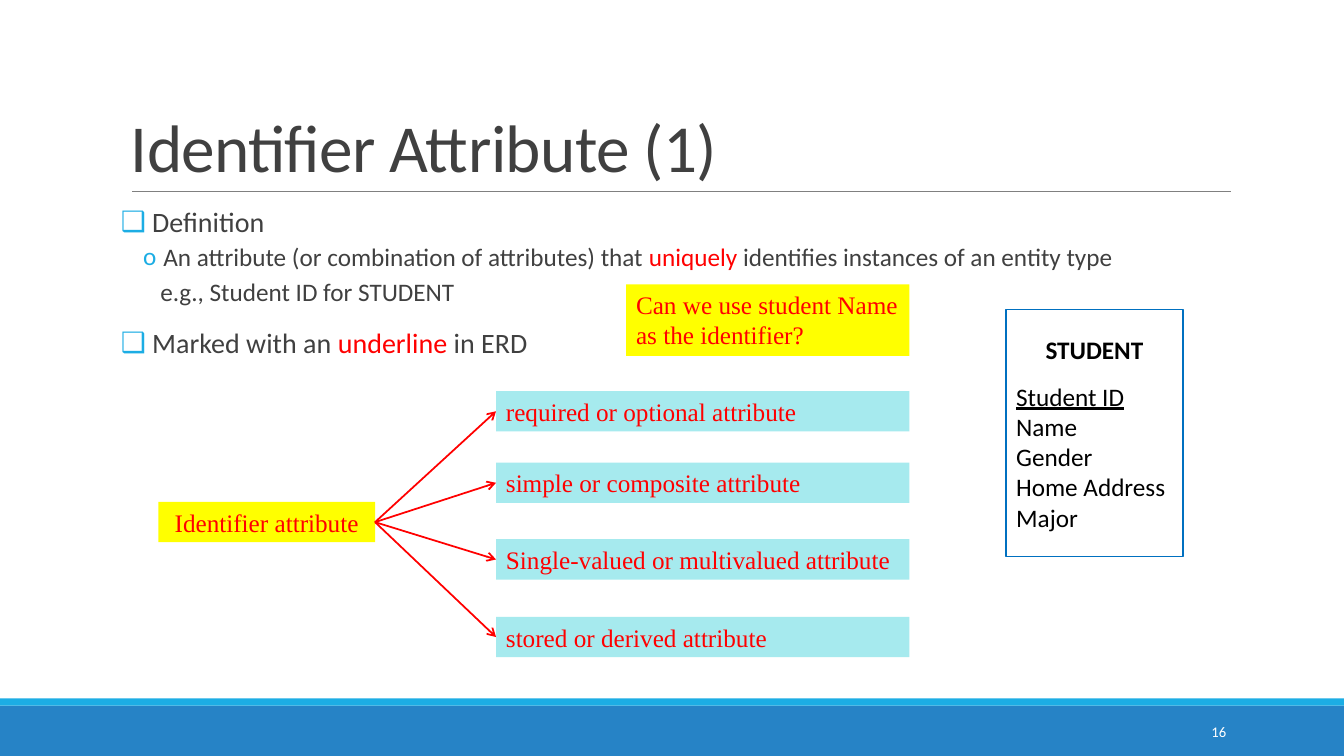
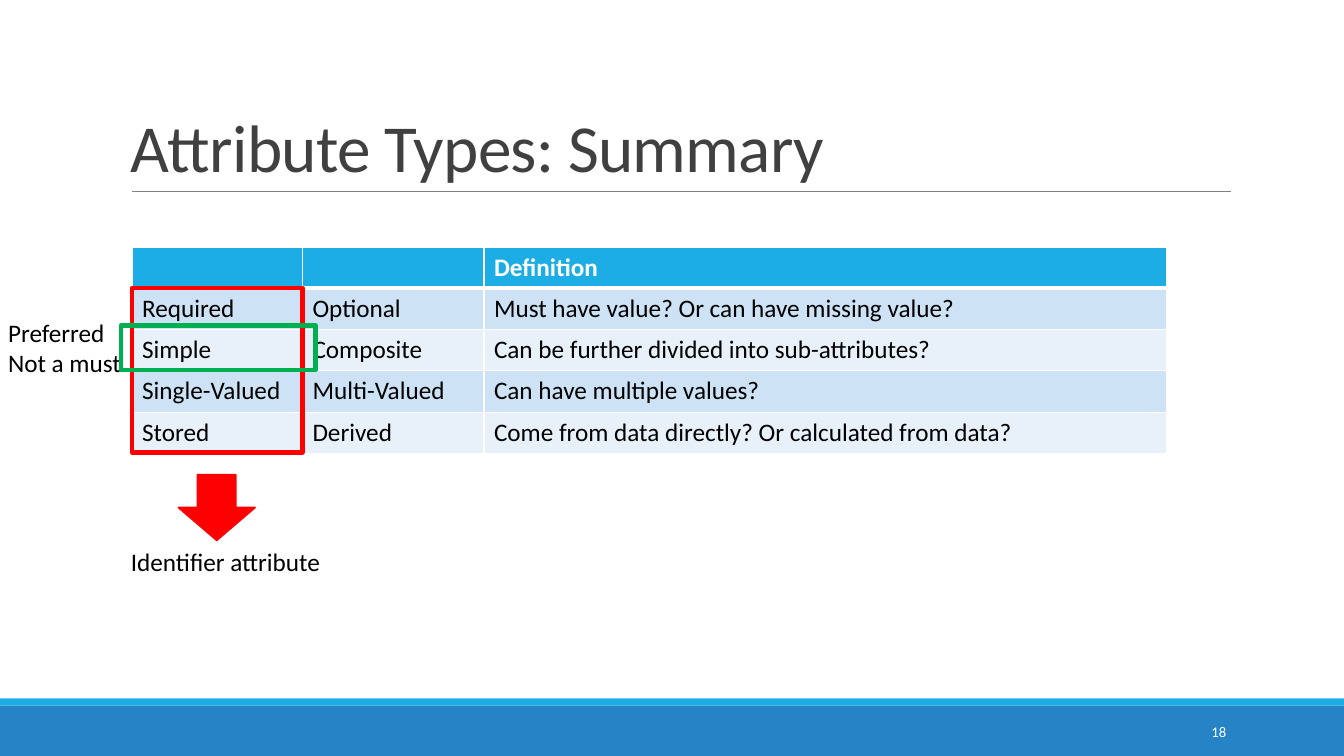
import pptx
import pptx.dml.color
import pptx.enum.shapes
import pptx.enum.text
import pptx.oxml.ns
import pptx.util
from lxml import etree

Inches = pptx.util.Inches
Pt = pptx.util.Pt
Align = pptx.enum.text.PP_ALIGN
Anchor = pptx.enum.text.MSO_ANCHOR
Shape = pptx.enum.shapes.MSO_SHAPE
Straight = pptx.enum.shapes.MSO_CONNECTOR.STRAIGHT

WHITE, BLACK, RED, GREEN = "FFFFFF", "000000", "FF0000", "00B050"
BLUE, CYAN, INK, GREY = "2683C6", "1CADE4", "404040", "808080"
YELLOW, AQUA, OUTLINE = "FFFF00", "A6EAEE", "0070C0"
BAND_FILLS = ["CDE3F5", "E8F1FA"]
SANS, SERIF = "Calibri", "Times New Roman"


def rgb(value):
    return pptx.dml.color.RGBColor.from_string(value)


def add_xml(parent, tag, **attributes):
    return etree.SubElement(parent, pptx.oxml.ns.qn(tag), attributes)


class Slides:
    """Hold the deck style and draw each kind of element on the current page."""

    def __init__(self):
        self.deck = pptx.Presentation()
        self.deck.slide_width = Inches(13.33)
        self.deck.slide_height = Inches(7.5)

    def start(self, title, number):
        self.page = self.deck.slides.add_slide(self.deck.slide_layouts[6])
        self.shape(0, 7, 13.33, 0.5, fill=BLUE)
        self.shape(0, 6.93, 13.33, 0.07, fill=CYAN)
        self.line(1.31, 1.9, 12.21, 1.9, GREY, 0.5)
        box = self.text(1.2, 0.31, 11, 1.59, title, 48, INK, anchor=Anchor.BOTTOM)
        para = box.text_frame.paragraphs[0]
        para.line_spacing = 0.85
        para.runs[0]._r.get_or_add_rPr().set("spc", "-50")
        self.text(10.83, 7.06, 1.43, 0.4, number, 10.5, WHITE,
                  align=Align.RIGHT, anchor=Anchor.MIDDLE)

    def style(self, span, size, color, font=SANS):
        span.font.size = Pt(size)
        span.font.name = font
        span.font.color.rgb = rgb(color)

    def set_text(self, frame, text, size=18, color=BLACK, font=SANS,
                 align=Align.LEFT, anchor=Anchor.TOP, wrap=True):
        frame.text = text
        frame.word_wrap = wrap
        frame.vertical_anchor = anchor
        for para in frame.paragraphs:
            para.alignment = align
            for span in para.runs:
                self.style(span, size, color, font)

    def text(self, left, top, width, height, text, *style, **layout):
        box = self.page.shapes.add_textbox(
            Inches(left), Inches(top), Inches(width), Inches(height))
        self.set_text(box.text_frame, text, *style, **layout)
        return box

    def shape(self, left, top, width, height, kind=Shape.RECTANGLE,
              fill=None, line=None, weight=1.25):
        shape = self.page.shapes.add_shape(
            kind, Inches(left), Inches(top), Inches(width), Inches(height))
        shape.shadow.inherit = False
        if fill:
            shape.fill.solid()
            shape.fill.fore_color.rgb = rgb(fill)
        else:
            shape.fill.background()
        if line:
            shape.line.color.rgb = rgb(line)
            shape.line.width = Pt(weight)
        else:
            shape.line.fill.background()
        return shape

    def note(self, left, top, width, height, text, fill, align=Align.LEFT):
        note = self.shape(left, top, width, height, fill=fill)
        self.set_text(note.text_frame, text, color=RED, font=SERIF, align=align)
        return note

    def line(self, x1, y1, x2, y2, color, weight):
        line = self.page.shapes.add_connector(
            Straight, Inches(x1), Inches(y1), Inches(x2), Inches(y2))
        line.line.color.rgb = rgb(color)
        line.line.width = Pt(weight)
        add_xml(line._element.spPr, "a:effectLst")
        return line

    def arrow(self, source, target):
        arrow = self.line(0, 0, 1, 1, RED, 1.25)
        arrow.begin_connect(source, 3)
        arrow.end_connect(target, 1)
        add_xml(arrow.line._get_or_add_ln(), "a:tailEnd", type="arrow")

    def bullets(self, left, top, width, height, items):
        frame = self.text(left, top, width, height, "").text_frame
        frame.margin_left = frame.margin_right = 0
        for index, (level, bullet, margin, hang, spans) in enumerate(items):
            para = frame.add_paragraph() if index else frame.paragraphs[0]
            para.level = level
            para.line_spacing = 0.9
            if index:
                para.space_before = Pt(2 if level else 12)
            para.space_after = Pt(4 if level else 2)
            properties = para._p.get_or_add_pPr()
            properties.set("marL", str(Inches(margin)))
            properties.set("indent", str(-Inches(hang)))
            if bullet:
                add_xml(add_xml(properties, "a:buClr"), "a:srgbClr", val=CYAN)
                add_xml(properties, "a:buFont", typeface=SANS)
                add_xml(properties, "a:buChar", char=bullet)
            else:
                add_xml(properties, "a:buNone")
            for words, color in spans:
                span = para.add_run()
                span.text = words
                self.style(span, 18 if level else 20, color)

    def cell_borders(self, cell, top, bottom):
        properties = cell._tc.get_or_add_tcPr()
        for side, weight in zip("LRTB", (1, 1, top, bottom)):
            border = add_xml(properties, "a:ln" + side, w=str(Pt(weight)))
            add_xml(add_xml(border, "a:solidFill"), "a:srgbClr", val=WHITE)

    def table(self, left, top, widths, row_height, rows):
        table = self.page.shapes.add_table(
            len(rows), len(widths), Inches(left), Inches(top),
            Inches(sum(widths)), Inches(row_height * len(rows))).table
        for column, width in zip(table.columns, widths):
            column.width = Inches(width)
        for i, row in enumerate(rows):
            header = i == 0
            table.rows[i].height = Inches(row_height)
            for j, words in enumerate(row):
                cell = table.cell(i, j)
                self.cell_borders(cell, 3 if i == 1 else 1, 3 if header else 1)
                cell.fill.solid()
                cell.fill.fore_color.rgb = rgb(CYAN if header else BAND_FILLS[(i - 1) % 2])
                self.set_text(cell.text_frame, words, color=WHITE if header else BLACK)
                for span in cell.text_frame.paragraphs[0].runs:
                    span.font.bold = header


def identifier_page(slides):
    slides.start("Identifier Attribute (1)", "16")
    slides.bullets(1.2, 2.02, 11, 4.85, [
        (0, "❑", 0.31, 0.31, [("Definition", INK)]),
        (1, "o", 0.42, 0.2, [
            ("An attribute (or combination of attributes) that ", INK),
            ("uniquely", RED),
            (" identifies instances of an entity type", INK)]),
        (1, None, 0.39, 0, [("e.g., Student ID for STUDENT", INK)]),
        (0, "❑", 0.31, 0.31, [
            ("Marked with an ", INK), ("underline", RED), (" in ERD", INK)]),
    ])
    entity = slides.shape(9.98, 3.07, 1.75, 2.45, line=OUTLINE)
    slides.set_text(entity.text_frame,
                    "STUDENT\nStudent ID\nName\nGender\nHome Address\nMajor",
                    anchor=Anchor.MIDDLE)
    heading, key = entity.text_frame.paragraphs[:2]
    heading.alignment = Align.CENTER
    heading.space_after = Pt(12)
    heading.runs[0].font.bold = True
    key.runs[0].font.underline = True

    identifier = slides.note(1.57, 4.98, 2.15, 0.4, "Identifier attribute",
                             YELLOW, Align.CENTER)
    for top, words in [(3.88, "required or optional attribute"),
                       (4.59, "simple or composite attribute"),
                       (5.35, "Single-valued or multivalued attribute"),
                       (6.12, "stored or derived attribute")]:
        slides.arrow(identifier, slides.note(4.92, top, 4.1, 0.4, words, AQUA))
    slides.note(6.21, 2.82, 2.81, 0.71,
                "Can we use student Name as the identifier?", YELLOW)


def summary_page(slides):
    slides.start("Attribute Types: Summary", "18")
    slides.table(1.31, 2.45, [1.69, 1.8, 6.77], 0.41, [
        ("", "", "Definition"),
        ("Required", "Optional", "Must have value? Or can have missing value?"),
        ("Simple", "Composite", "Can be further divided into sub-attributes?"),
        ("Single-Valued", "Multi-Valued", "Can have multiple values?"),
        ("Stored", "Derived", "Come from data directly? Or calculated from data?"),
    ])
    slides.text(1.2, 5.37, 2.16, 0.4, "Identifier attribute", wrap=False)
    slides.shape(1.31, 2.86, 1.69, 1.63, line=RED, weight=3)
    slides.shape(1.77, 4.71, 0.76, 0.65, Shape.DOWN_ARROW, fill=RED, line=RED)
    preferred = slides.text(0, 3.1, 1.31, 0.71, "Preferred\nNot a must", wrap=False)
    preferred.text_frame.margin_left = Inches(0.08)
    slides.shape(1.2, 3.23, 1.93, 0.44, line=GREEN, weight=3)


def main():
    slides = Slides()
    identifier_page(slides)
    summary_page(slides)
    slides.deck.save("out.pptx")


if __name__ == "__main__":
    main()
